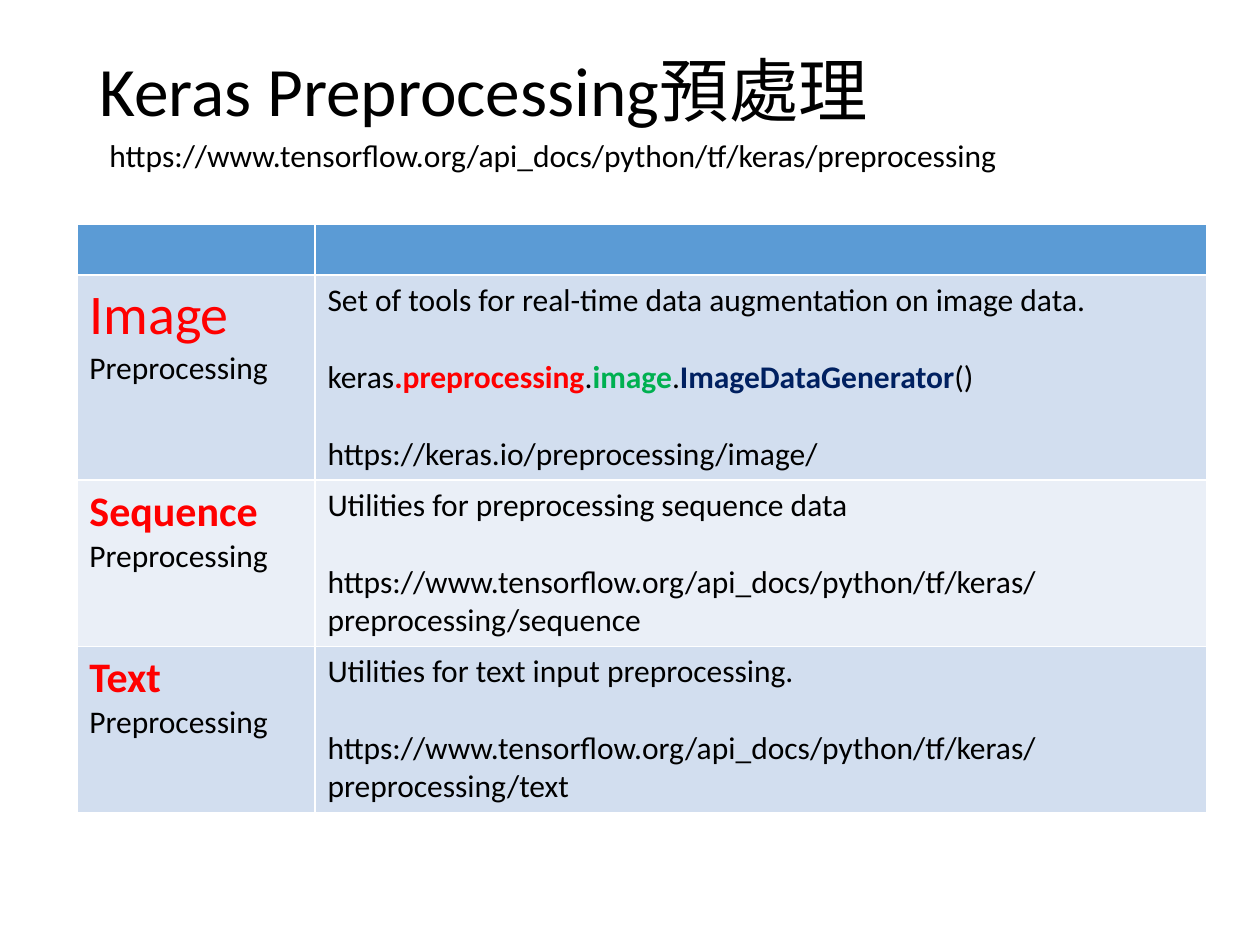
from pptx import Presentation
from pptx.dml.color import RGBColor as RGB
from pptx.enum.text import MSO_ANCHOR as Anchor
from pptx.util import Inches, Pt

BLACK = RGB(0x00, 0x00, 0x00)
RED = RGB(0xFF, 0x00, 0x00)
GREEN = RGB(0x00, 0xB0, 0x50)
NAVY = RGB(0x00, 0x20, 0x60)
HEADER = RGB(0x5B, 0x9B, 0xD5)
BANDS = (RGB(0xD2, 0xDE, 0xEF), RGB(0xEA, 0xEF, 0xF7))

WIDTH, HEIGHT = Inches(10), Inches(7.5)
COLUMNS = (0.189, 0.708)
ROWS = (0.054, 0.217, 0.176, 0.176)
DOCS = "https://www.tensorflow.org/api_docs/python/tf/keras/preprocessing"
BODY = dict(name="Calibri", size=Pt(18), bold=False)
BLANK_LINE = Pt(22)

TOPICS = [
    (("Image ", RED, dict(size=Pt(32))),
     [[("Set of tools for real-time data augmentation on image data.",)],
      [("keras",), (".preprocessing", RED, dict(bold=True)), (".",),
       ("image", GREEN, dict(bold=True)), (".",),
       ("ImageDataGenerator", NAVY, dict(bold=True)), ("()",)],
      [("https://keras.io/preprocessing/image/",)]]),
    (("Sequence ", RED, dict(size=Pt(24), bold=True)),
     [[("Utilities for preprocessing sequence data",)],
      [(DOCS + "/sequence",)]]),
    (("Text ", RED, dict(size=Pt(24), bold=True)),
     [[("Utilities for text input preprocessing.",)],
      [(DOCS + "/text",)]]),
]


def add_run(p, text, color=BLACK, fmt=None):
    """Add a run in the body format, changed by the values in fmt."""
    r = p.add_run()
    r.text = text
    for key, value in {**BODY, **(fmt or {})}.items():
        setattr(r.font, key, value)
    r.font.color.rgb = color


def write(tf, paragraphs):
    """Fill a text frame, with one line's gap between paragraphs."""
    for i, runs in enumerate(paragraphs):
        p = tf.add_paragraph() if i else tf.paragraphs[0]
        if i:
            p.space_before = BLANK_LINE
        for run in runs:
            add_run(p, *run)


def add_text(slide, box, run, anchor=Anchor.TOP, spacing=1.0):
    """Add a one-paragraph text box placed by shares of the slide."""
    x, y, w, h = box
    sp = slide.shapes.add_textbox(int(x * WIDTH), int(y * HEIGHT),
                                  int(w * WIDTH), int(h * HEIGHT))
    tf = sp.text_frame
    tf.word_wrap = True
    tf.vertical_anchor = anchor
    write(tf, [[run]])
    tf.paragraphs[0].line_spacing = spacing


def add_topic_table(slide, left, top):
    """Add the banded table with one row per preprocessing topic."""
    table = slide.shapes.add_table(
        len(ROWS), len(COLUMNS), int(left * WIDTH), int(top * HEIGHT),
        int(sum(COLUMNS) * WIDTH), int(sum(ROWS) * HEIGHT)).table
    for column, share in zip(table.columns, COLUMNS):
        column.width = int(share * WIDTH)
    for i, (row, share) in enumerate(zip(table.rows, ROWS)):
        row.height = int(share * HEIGHT)
        for cell in row.cells:
            cell.fill.solid()
            cell.fill.fore_color.rgb = BANDS[(i - 1) % 2] if i else HEADER
    for i, (name, details) in enumerate(TOPICS, start=1):
        write(table.cell(i, 0).text_frame, [[name, ("Preprocessing",)]])
        write(table.cell(i, 1).text_frame, details)


def main():
    """Build and save the slide."""
    prs = Presentation()
    prs.slide_width, prs.slide_height = WIDTH, HEIGHT
    s = prs.slides.add_slide(prs.slide_layouts[6])
    add_text(s, (0.069, 0.053, 0.862, 0.092),
             ("Keras Preprocessing預處理", BLACK, dict(size=Pt(39.6))),
             Anchor.MIDDLE, 0.9)
    add_topic_table(s, 0.061, 0.237)
    add_text(s, (0.077, 0.137, 0.768, 0.053), (DOCS,))
    prs.save("out.pptx")


if __name__ == "__main__":
    main()
